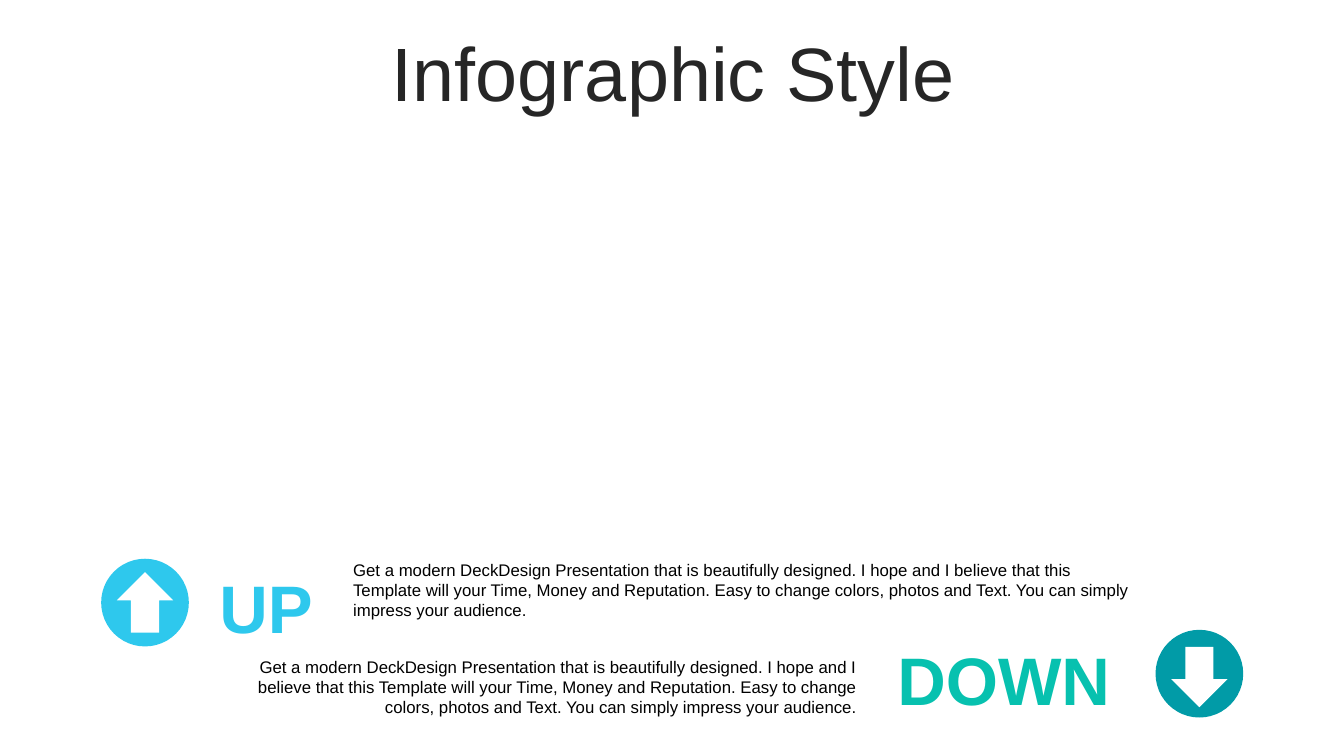
from dataclasses import dataclass

from pptx import Presentation
from pptx import util as u
from pptx.dml.color import RGBColor
from pptx.enum import shapes, text

FONT = "Arial"
DISC = 2.21
ARROW_WIDTH, ARROW_HEIGHT = 1.42, 1.52
MESSAGE = (
    "Get a modern DeckDesign Presentation that is beautifully designed. "
    "I hope and I believe that this Template will your Time, Money and Reputation. "
    "Easy to change colors, photos and Text. You can simply impress your audience."
)


@dataclass(frozen=True)
class Box:
    left: float
    top: float
    width: float
    height: float

    def lengths(self) -> list[u.Length]:
        return [u.Cm(side) for side in (self.left, self.top, self.width, self.height)]


@dataclass(frozen=True)
class Direction:
    word: str
    word_color: str
    word_box: Box
    disc_color: str
    disc_left: float
    disc_top: float
    arrow_drop: float
    rotation: int
    message_box: Box
    message_align: text.PP_ALIGN


DIRECTIONS = [
    Direction("UP", "2EC8ED", Box(5.13, 14.25, 3.15, 2.06),
              "2EC8ED", 2.55, 14.08, 0.34, 0,
              Box(8.65, 13.98, 20.27, 1.8), text.PP_ALIGN.LEFT),
    Direction("DOWN", "07C1AF", Box(21.69, 16.05, 7.21, 2.06),
              "019BA7", 29.12, 15.87, 0.43, 180,
              Box(4.96, 16.42, 16.89, 1.8), text.PP_ALIGN.RIGHT),
]


def rgb(value: str) -> RGBColor:
    return RGBColor.from_string(value)


def apply(target, values: dict) -> None:
    for name, value in values.items():
        setattr(target, name, value)


def write(frame, words: str, size: int, color: str, align: text.PP_ALIGN,
          bold: bool = False, **frame_format) -> None:
    apply(frame, {"word_wrap": True, **frame_format})
    paragraph = frame.paragraphs[0]
    paragraph.alignment = align
    run = paragraph.add_run()
    run.text = words
    apply(run.font, {"name": FONT, "size": u.Pt(size), "bold": bold})
    run.font.color.rgb = rgb(color)


def add_title(slide) -> None:
    title = slide.shapes.title
    sides = Box(0.89, 0.94, 32.16, 2).lengths()
    apply(title, dict(zip(("left", "top", "width", "height"), sides)))
    write(title.text_frame, "Infographic Style", 54, "262626", text.PP_ALIGN.CENTER,
          vertical_anchor=text.MSO_ANCHOR.MIDDLE, auto_size=text.MSO_AUTO_SIZE.NONE)
    title.text_frame.paragraphs[0].line_spacing = 0.9


def add_filled(group, kind: shapes.MSO_SHAPE, box: Box, color: str, rotation: int) -> None:
    part = group.shapes.add_shape(kind, *box.lengths())
    part.shadow.inherit = False
    part.fill.solid()
    part.fill.fore_color.rgb = rgb(color)
    part.line.fill.background()
    part.rotation = rotation


def add_badge(slide, item: Direction) -> None:
    badge = slide.shapes.add_group_shape()
    disc = Box(item.disc_left, item.disc_top, DISC, DISC)
    arrow = Box(item.disc_left + (DISC - ARROW_WIDTH) / 2, item.disc_top + item.arrow_drop,
                ARROW_WIDTH, ARROW_HEIGHT)
    add_filled(badge, shapes.MSO_SHAPE.OVAL, disc, item.disc_color, item.rotation)
    add_filled(badge, shapes.MSO_SHAPE.UP_ARROW, arrow, "FFFFFF", item.rotation)


def add_direction(slide, item: Direction) -> None:
    grow = text.MSO_AUTO_SIZE.SHAPE_TO_FIT_TEXT
    word = slide.shapes.add_textbox(*item.word_box.lengths())
    write(word.text_frame, item.word, 48, item.word_color, text.PP_ALIGN.CENTER, bold=True,
          auto_size=grow, vertical_anchor=text.MSO_ANCHOR.BOTTOM,
          margin_left=0, margin_top=0, margin_right=0, margin_bottom=0)
    add_badge(slide, item)
    message = slide.shapes.add_textbox(*item.message_box.lengths())
    write(message.text_frame, MESSAGE, 12, "000000", item.message_align, auto_size=grow)


def main() -> None:
    deck = Presentation()
    apply(deck, {"slide_width": u.Cm(33.87), "slide_height": u.Cm(19.05)})
    slide = deck.slides.add_slide(deck.slide_layouts.get_by_name("Title Only"))
    add_title(slide)
    for item in DIRECTIONS:
        add_direction(slide, item)
    deck.save("out.pptx")


if __name__ == "__main__":
    main()
